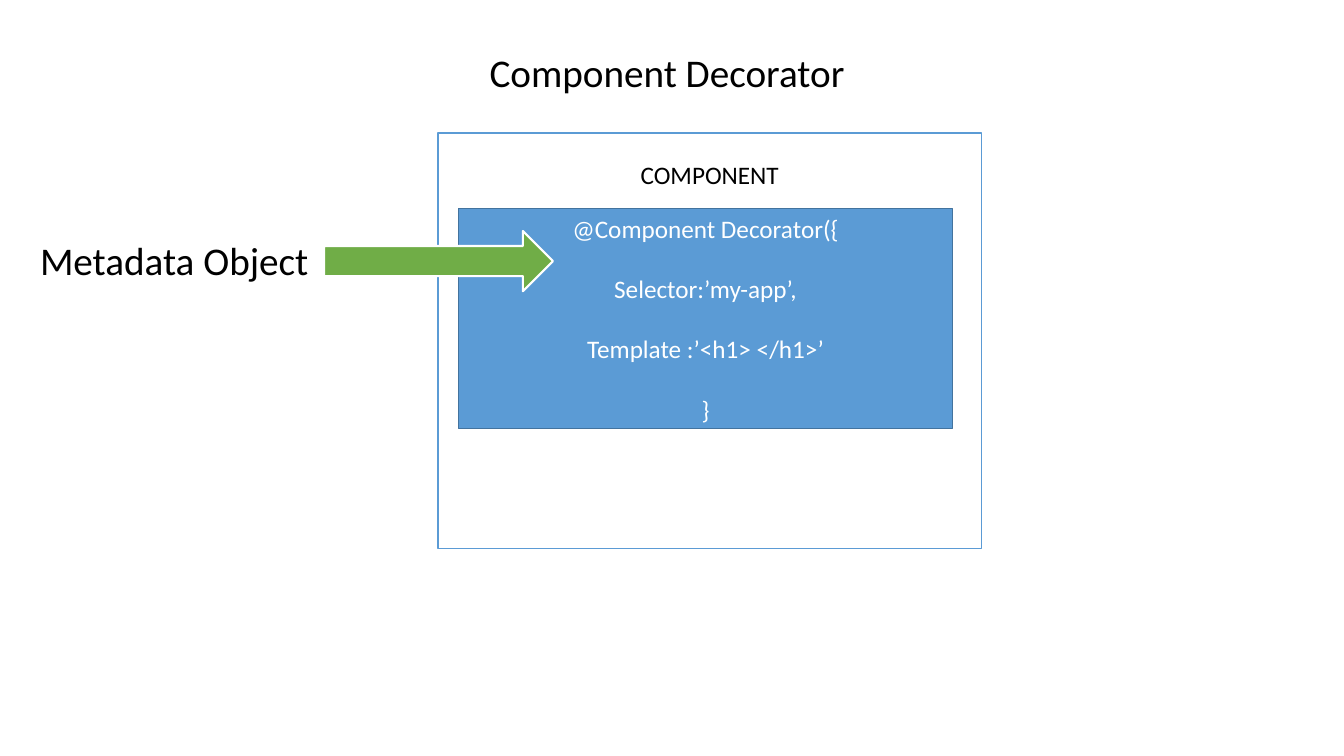
"""Build the Component Decorator slide."""
from pptx import Presentation
from pptx.dml.color import RGBColor
from pptx.enum.shapes import MSO_SHAPE as Shape
from pptx.enum.text import MSO_ANCHOR as Anchor, MSO_AUTO_SIZE as AutoSize, PP_ALIGN as Align
from pptx.util import Pt

BLACK = RGBColor(0x00, 0x00, 0x00)
WHITE = RGBColor(0xFF, 0xFF, 0xFF)
BLUE = RGBColor(0x5B, 0x9B, 0xD5)
DARK_BLUE = RGBColor(0x43, 0x73, 0x9E)
GREEN = RGBColor(0x70, 0xAD, 0x47)


def add_block(page, kind, place, fill, line, width):
    block = page.shapes.add_shape(kind, *map(Pt, place))
    block.shadow.inherit = False
    block.fill.solid()
    block.fill.fore_color.rgb = fill
    block.line.color.rgb = line
    block.line.width = Pt(width)
    return block


def write(box, lines, size, color, align, anchor, gap=0):
    frame = box.text_frame
    frame.word_wrap = True
    frame.auto_size = AutoSize.NONE
    frame.vertical_anchor = anchor
    frame.text = "\n".join(lines)
    for index, para in enumerate(frame.paragraphs):
        para.alignment = align
        para.line_spacing = 1.0
        para.space_before = Pt(gap if index else 0)
        for span in para.runs:
            span.font.name = "Calibri"
            span.font.size = Pt(size)
            span.font.color.rgb = color


deck = Presentation()
deck.slide_width, deck.slide_height = Pt(960), Pt(540)
page = deck.slides.add_slide(deck.slide_layouts[5])

title = page.shapes.title
title.left, title.top, title.width, title.height = map(Pt, (342.5, 31, 304, 41))
write(title, ["Component Decorator"], 28, BLACK, Align.LEFT, Anchor.MIDDLE)

component = add_block(page, Shape.RECTANGLE, (313, 95, 388, 297), WHITE, BLUE, 1)
write(component, ["COMPONENT"], 18, BLACK, Align.CENTER, Anchor.TOP)
component.text_frame.margin_top = Pt(18.5)

decorator = add_block(page, Shape.RECTANGLE, (327.5, 149, 353, 157), BLUE, DARK_BLUE, 1)
code = ["@Component Decorator({", "Selector:’my-app’,", "Template :’<h1> </h1>’", "}"]
write(decorator, code, 18, WHITE, Align.CENTER, Anchor.MIDDLE, gap=21.5)

add_block(page, Shape.RIGHT_ARROW, (231.5, 165, 163.5, 43), GREEN, WHITE, 1.5)

label = page.shapes.add_textbox(Pt(21.5), Pt(165), Pt(215), Pt(41))
write(label, ["Metadata Object"], 28, BLACK, Align.LEFT, Anchor.MIDDLE)

deck.save("out.pptx")
